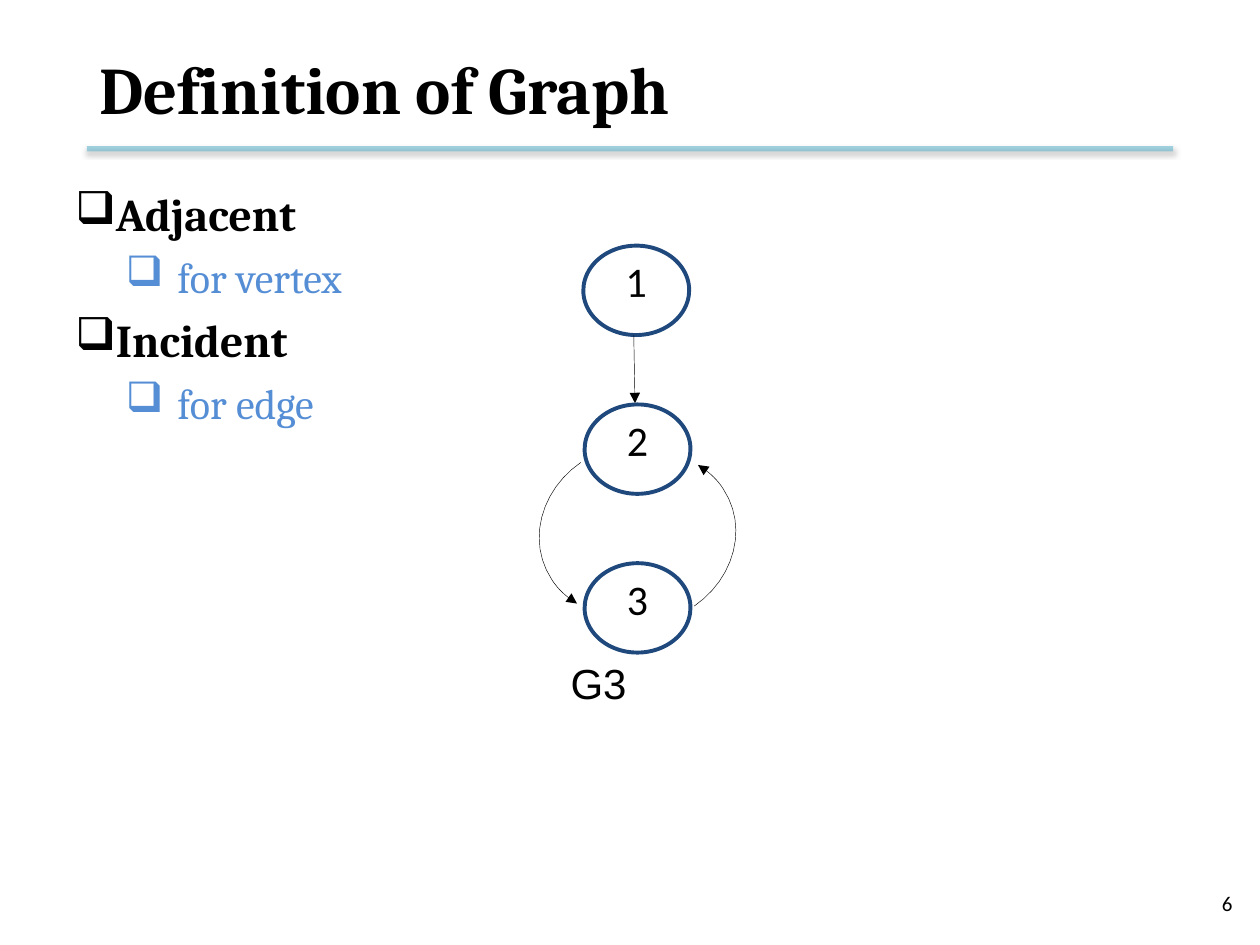
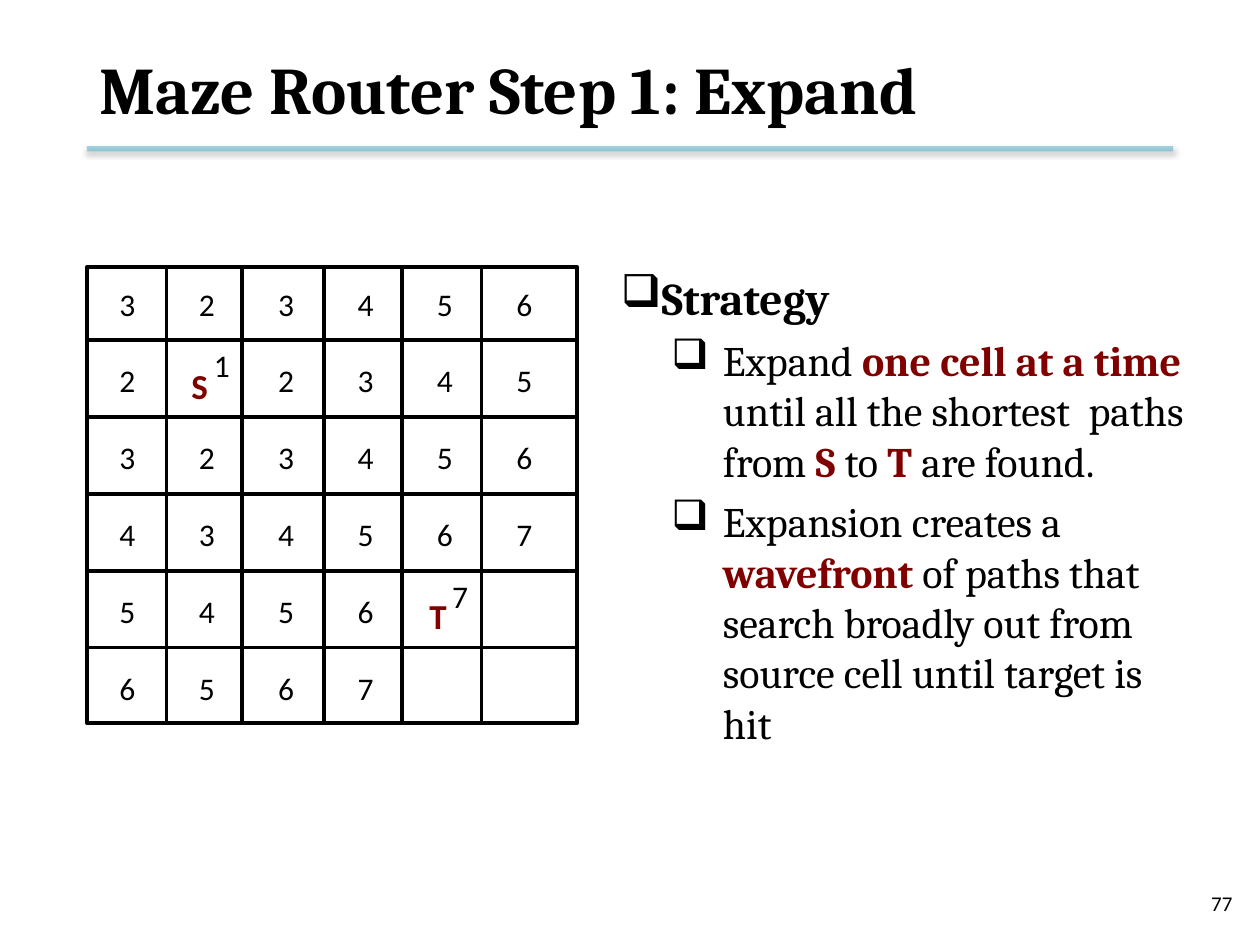
"""Build two lecture slides: a directed graph and a maze router grid."""
from dataclasses import dataclass

from lxml.etree import SubElement
from pptx import Presentation
from pptx.dml.color import RGBColor
from pptx.enum.shapes import MSO_CONNECTOR as Connector, MSO_SHAPE as Preset
from pptx.enum.text import MSO_ANCHOR as Anchor, MSO_AUTO_SIZE as AutoSize, PP_ALIGN as Align
from pptx.oxml.ns import qn
from pptx.util import Inches, Pt


@dataclass(frozen=True)
class Theme:
    """Colours, fonts and type sizes used on every slide."""
    black: str = "000000"
    rule: str = "4BACC6"
    node: str = "1F497D"
    soft: str = "558ED5"
    accent: str = "800000"
    serif: str = "Cambria"
    sans: str = "Calibri"
    label: str = "Arial"
    title: int = 38
    heading: int = 26
    body: int = 24
    marker: int = 20
    cell: int = 18
    footer: int = 12


THEME = Theme()

GRAPH = {
    "title": "Definition of Graph",
    "page": "6",
    "body_box": (0.5, 1.43, 9, 4.95),
    "bullets": [
        (0, [("Adjacent", THEME.black, True)]),
        (1, [("for vertex", THEME.soft, False)]),
        (0, [("Incident", THEME.black, True)]),
        (1, [("for edge", THEME.soft, False)]),
    ],
}
NODES = [("1", 4.63), ("2", 4.64), ("3", 4.64)]
NODE_TOP, NODE_STEP, NODE_SIZE = 1.95, 1.26, (0.84, 0.71)
EDGE_DOWN = (5.03, 2.66, 5.04, 3.2)
ARC_CENTRE = (5.06, 4.24)
ARC_CURVES = [
    [(4.61, 3.67), (4.29, 3.89), (4.18, 4.3), (4.38, 4.6)],
    [(4.38, 4.6), (4.43, 4.68), (4.5, 4.74), (4.58, 4.79)],
]
ARC_STEPS = 12

MAZE = {
    "title": "Maze Router Step 1: Expand",
    "page": "77",
    "body_box": (4.83, 2.09, 4.67, 4.13),
    "bullets": [
        (0, [("Strategy", THEME.black, True)]),
        (1, [("Expand ", THEME.black, False),
             ("one cell at a time", THEME.accent, True),
             (" until all the shortest  paths from ", THEME.black, False),
             ("S", THEME.accent, True),
             (" to ", THEME.black, False),
             ("T", THEME.accent, True),
             (" are found.", THEME.black, False)]),
        (1, [("Expansion creates a ", THEME.black, False),
             ("wavefront ", THEME.accent, True),
             ("of paths that search broadly out from source cell until target is hit",
              THEME.black, False)]),
    ],
}
DISTANCES = ["323456", "212345", "323456", "434567", "54567", "6567"]
MARKERS = {(1, 1): "S", (4, 4): "T"}
MAZE_FRAME = (0.69, 2.12, 3.89, 3.62)
COLUMN_LINES = [1.32, 1.92, 2.57, 3.19, 3.82]
ROW_LINES = [2.7 + 0.61 * row for row in range(5)]
CELL_LEFT, CELL_TOP, CELL_STEP = 0.85, 2.21, (0.63, 0.61)

LEVELS = [
    {"margin": 0.25, "indent": -0.45, "size": THEME.heading, "space": 6.2},
    {"margin": 0.81, "indent": -0.41, "size": THEME.body, "space": 5.8},
]


def set_values(target, values):
    for name, value in values.items():
        setattr(target, name, value)


def inches(values):
    return [Inches(value) for value in values]


def add_run(paragraph, text, size, font, color=THEME.black, bold=False):
    run = paragraph.add_run()
    run.text = text
    set_values(run.font, {"size": Pt(size), "name": font, "bold": bold})
    run.font.color.rgb = RGBColor.from_string(color)


def add_text(slide, box, text, size, font, color=THEME.black, bold=False, align=Align.LEFT, **frame):
    shape = slide.shapes.add_textbox(*inches(box))
    set_values(shape.text_frame, {"word_wrap": True, **frame})
    paragraph = shape.text_frame.paragraphs[0]
    paragraph.alignment = align
    add_run(paragraph, text, size, font, color, bold)


def style_line(shape, color, width):
    shape.line.color.rgb = RGBColor.from_string(color)
    shape.line.width = Pt(width)


def add_line(slide, ends, color, width):
    line = slide.shapes.add_connector(Connector.STRAIGHT, *inches(ends))
    style_line(line, color, width)
    effects = SubElement(line.element.spPr, qn("a:effectLst"))
    return line, effects


def add_arrowhead(shape):
    SubElement(shape.element.spPr.find(qn("a:ln")), qn("a:tailEnd"), type="triangle")


def add_outline(slide, preset, box, color, width):
    shape = slide.shapes.add_shape(preset, *inches(box))
    shape.shadow.inherit = False
    shape.fill.background()
    style_line(shape, color, width)
    return shape


def add_title_rule(slide):
    line, effects = add_line(slide, (0.69, 1.18, 9.31, 1.18), THEME.rule, 3)
    color = line.element.spPr.find(".//" + qn("a:srgbClr"))
    SubElement(color, qn("a:alpha"), val="50000")
    shadow = SubElement(effects, qn("a:outerShdw"), blurRad=str(Pt(3.1)), dist=str(Pt(1.6)),
                        dir="5400000", rotWithShape="0")
    shade = SubElement(shadow, qn("a:srgbClr"), val=THEME.black)
    SubElement(shade, qn("a:alpha"), val="38000")


def add_bullets(slide, box, bullets):
    frame = slide.shapes.add_textbox(*inches(box)).text_frame
    frame.word_wrap = True
    for index, (level, runs) in enumerate(bullets):
        paragraph = frame.add_paragraph() if index else frame.paragraphs[0]
        style = LEVELS[level]
        properties = paragraph._p.get_or_add_pPr()
        properties.set("marL", str(Inches(style["margin"])))
        properties.set("indent", str(Inches(style["indent"])))
        SubElement(properties, qn("a:buChar"), char="❑")
        paragraph.level = level
        if index:
            paragraph.space_before = Pt(style["space"])
        for text, color, bold in runs:
            add_run(paragraph, text, style["size"], THEME.serif, color, bold)


def add_base_slide(presentation, content):
    slide = presentation.slides.add_slide(presentation.slide_layouts[6])
    add_title_rule(slide)
    add_text(slide, (7.55, 6.97, 2.33, 0.4), content["page"], THEME.footer, THEME.sans,
             align=Align.RIGHT, vertical_anchor=Anchor.MIDDLE)
    add_text(slide, (0.69, 0.17, 8.62, 1.06), content["title"], THEME.title, THEME.serif,
             bold=True, vertical_anchor=Anchor.MIDDLE)
    add_bullets(slide, content["body_box"], content["bullets"])
    return slide


def curve_point(controls, t):
    weights = ((1 - t) ** 3, 3 * t * (1 - t) ** 2, 3 * t ** 2 * (1 - t), t ** 3)
    return tuple(sum(weight * point[axis] for weight, point in zip(weights, controls))
                 for axis in (0, 1))


def add_arc(slide, points):
    start, *rest = [tuple(inches(point)) for point in points]
    builder = slide.shapes.build_freeform(*start)
    builder.add_line_segments(rest, close=False)
    arc = builder.convert_to_shape()
    arc.shadow.inherit = False
    arc.fill.background()
    style_line(arc, THEME.black, 0.25)
    add_arrowhead(arc)


def add_graph(slide):
    for index, (name, left) in enumerate(NODES):
        box = (left, NODE_TOP + index * NODE_STEP, *NODE_SIZE)
        node = add_outline(slide, Preset.OVAL, box, THEME.node, 2.25)
        node.rotation = 359.5
        set_values(node.text_frame, {"margin_left": 0, "margin_right": 0, "margin_top": 0,
                                     "margin_bottom": 0, "vertical_anchor": Anchor.TOP})
        paragraph = node.text_frame.paragraphs[0]
        set_values(paragraph, {"alignment": Align.CENTER, "line_spacing": 0.96})
        add_run(paragraph, name, THEME.body, THEME.sans)
    edge, _ = add_line(slide, EDGE_DOWN, THEME.black, 0.25)
    add_arrowhead(edge)
    left_arc = [curve_point(curve, step / ARC_STEPS)
                for curve in ARC_CURVES for step in range(ARC_STEPS + 1)]
    right_arc = [(2 * ARC_CENTRE[0] - x, 2 * ARC_CENTRE[1] - y) for x, y in left_arc]
    for points in (left_arc, right_arc):
        add_arc(slide, points)
    add_text(slide, (4.43, 5.17, 0.74, 0.5), "G3", THEME.body, THEME.label, word_wrap=False,
             auto_size=AutoSize.SHAPE_TO_FIT_TEXT, vertical_anchor=Anchor.MIDDLE)


def add_maze(slide):
    add_outline(slide, Preset.RECTANGLE, MAZE_FRAME, THEME.black, 2)
    rows = [(0.71, y, 4.56, y) for y in ROW_LINES]
    columns = [(x, 2.12, x, 5.72) for x in COLUMN_LINES]
    for ends in rows + columns:
        add_line(slide, ends, THEME.black, 2)
    fit = {"word_wrap": False, "auto_size": AutoSize.SHAPE_TO_FIT_TEXT}
    for row, values in enumerate(DISTANCES):
        for column, value in enumerate(values):
            left = CELL_LEFT + column * CELL_STEP[0]
            top = CELL_TOP + row * CELL_STEP[1]
            marker = MARKERS.get((row, column))
            if marker:
                add_text(slide, (left - 0.06, top + 0.02, 0.38, 0.43), marker, THEME.marker,
                         THEME.sans, THEME.accent, True, **fit)
                left, top = left + 0.12, top - 0.12
            add_text(slide, (left, top, 0.33, 0.4), value, THEME.cell, THEME.sans, **fit)


def main():
    presentation = Presentation()
    set_values(presentation, {"slide_width": Inches(10), "slide_height": Inches(7.5)})
    for content, draw in ((GRAPH, add_graph), (MAZE, add_maze)):
        draw(add_base_slide(presentation, content))
    presentation.save("out.pptx")


if __name__ == "__main__":
    main()
